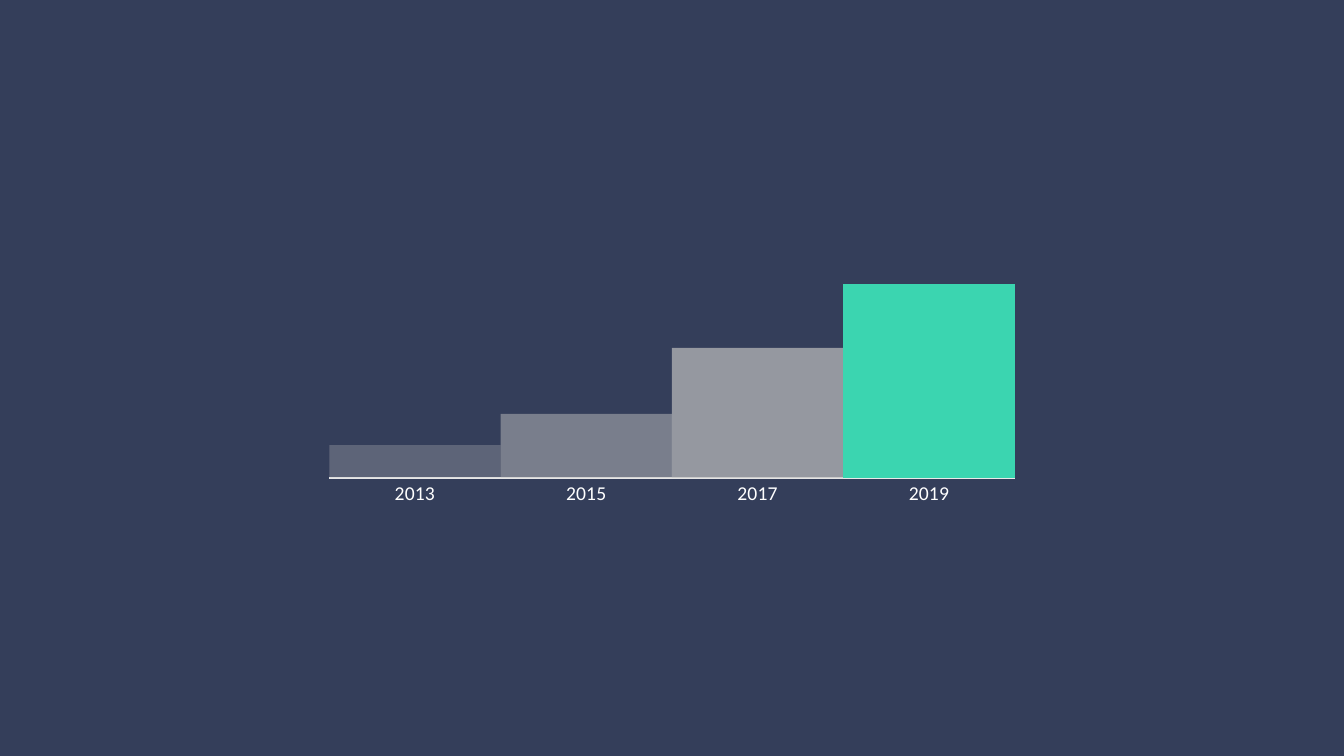
"""Build a dark slide with a stepped column chart that highlights 2019."""
from lxml import etree
from pptx import Presentation
from pptx import util as u
from pptx.chart.data import CategoryChartData
from pptx.dml.color import RGBColor
from pptx.enum import chart as charts
from pptx.oxml import parse_xml
from pptx.oxml.ns import nsdecls, qn

PX = 914400 / 100.8
NAVY = RGBColor(0x34, 0x3E, 0x5A)
GREY = RGBColor(0xBF, 0xBF, 0xBF)
GREEN = RGBColor(0x3B, 0xD5, 0xB0)
WHITE = RGBColor(0xFF, 0xFF, 0xFF)
AXIS_GREY = RGBColor(0xE9, 0xE9, 0xE9)
TEXT_GREY = RGBColor(0x52, 0x52, 0x54)
BLUE = RGBColor(0x0A, 0x86, 0xBE)


def px(length):
    return u.Emu(round(length * PX))


presentation = Presentation()
presentation.slide_width, presentation.slide_height = px(1344), px(756)
slide = presentation.slides.add_slide(presentation.slide_layouts[6])
slide.background.fill.solid()
slide.background.fill.fore_color.rgb = NAVY

data = CategoryChartData()
data.categories = ["2013", "2015", "2017", "2019"]
data.add_series("Series 1", [17, 33, 67, 100])
chart = slide.shapes.add_chart(
    charts.XL_CHART_TYPE.COLUMN_CLUSTERED, px(315), px(245), px(714), px(265), data
).chart
chart.has_legend = False
chart.has_title = False
chart.font.name = "Noto Sans CJK JP"
chart.font.size = u.Pt(10)
chart.font.color.rgb = TEXT_GREY

value_axis = chart.value_axis
value_axis.minimum_scale, value_axis.maximum_scale = 0, 120
value_axis.has_major_gridlines = False
value_axis.visible = False

year_axis = chart.category_axis
year_axis.major_tick_mark = charts.XL_TICK_MARK.NONE
year_axis.format.line.color.rgb = AXIS_GREY
year_axis.format.line.width = u.Pt(1.25)
year_font = year_axis.tick_labels.font
year_font.name = "Calibri"
year_font.size = u.Pt(14)
year_font.color.rgb = WHITE

plot = chart.plots[0]
plot.gap_width = 0
plot.vary_by_categories = False
series = plot.series[0]
series.format.fill.solid()
series.format.fill.fore_color.rgb = BLUE
for index, (color, opacity) in enumerate([(GREY, 30), (GREY, 50), (GREY, 70), (GREEN, 100)]):
    fill = series.points[index].format.fill
    fill.solid()
    fill.fore_color.rgb = color
    if opacity < 100:
        bar = series.points[index].format.fill._xPr
        color_element = bar.find(qn("a:solidFill")).find(qn("a:srgbClr"))
        etree.SubElement(color_element, qn("a:alpha"), val=str(opacity * 1000))

plot_area = chart._chartSpace.chart.plotArea
for layout in plot_area.findall(qn("c:layout")):
    plot_area.remove(layout)
plot_area.insert(0, parse_xml(
    f'<c:layout {nsdecls("c")}><c:manualLayout><c:layoutTarget val="inner"/>'
    '<c:xMode val="edge"/><c:yMode val="edge"/><c:x val="0.02"/><c:y val="0"/>'
    '<c:w val="0.96"/><c:h val="0.88"/></c:manualLayout></c:layout>'
))

presentation.save("out.pptx")
